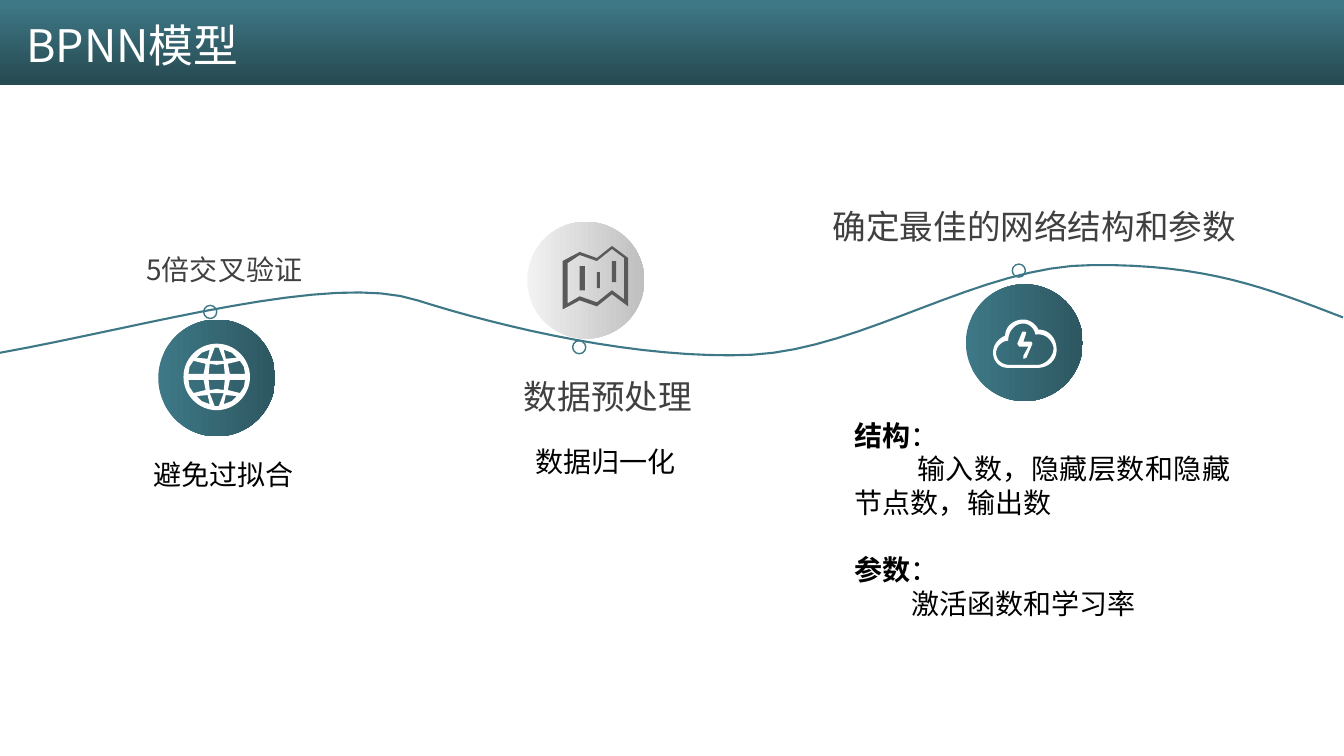
"""Build the BPNN model slide: three steps along a wave."""
from pptx import Presentation, util as u
from pptx.dml.color import RGBColor
from pptx.enum import shapes, text
from pptx.oxml.ns import qn
from lxml import etree

SIZE = 13.33, 7.5
BAND = 0.84
DISC, DOT = 1.16, 0.13


class Theme:
    teal, dark, deep = "3E7886", "2D5761", "274B53"
    pale, gray = "F2F2F2", "BFBFBF"
    white, ink, head, icon = "FFFFFF", "000000", "404040", "595959"
    sans, body = "Noto Sans CJK SC", "Calibri"
    big, mid, small = 32, 24, 20


TITLE = "BPNN模型"
LEFT, MID, JUST = text.PP_ALIGN.LEFT, text.PP_ALIGN.CENTER, text.PP_ALIGN.JUSTIFY
HEADS = [
    ("5倍交叉验证", (1.27, 2.46, 1.91, 0.44), Theme.small, MID),
    ("数据预处理", (4.07, 3.68, 3.92, 0.5), Theme.mid, MID),
    ("确定最佳的网络结构和参数", (8.16, 1.99, 4.36, 0.5), Theme.mid, LEFT),
]
NOTES = [
    ("避免过拟合", (1.42, 4.49, 2.4, 0.44)),
    ("数据归一化", (5.21, 4.36, 3.92, 0.44)),
]
DETAIL = (8.38, 4.1, 3.92, 2.42)
PARTS = [
    ("结构", "输入数，隐藏层数和隐藏节点数，输出数", 0.62, JUST),
    ("参数", "激活函数和学习率", 0.56, LEFT),
]
DOTS = [(2.02, 3.03), (5.68, 3.38), (10.04, 2.62)]
WAVE = [(0, 3.5), (1.45, 3.24), (3.29, 2.7), (4.14, 2.98), (4.99, 3.25),
        (6.34, 3.57), (7.46, 3.52), (8.58, 3.46), (9.72, 2.63),
        (10.84, 2.63), (11.97, 2.62), (12.57, 2.86), (13.32, 3.15)]

HUB = 2.15, 3.74
RIM = [(0, -.33), (.18, -.33), (.33, -.18), (.33, 0), (.33, .18), (.18, .33),
       (0, .33), (-.18, .33), (-.33, .18), (-.33, 0), (-.33, -.18),
       (-.18, -.33), (0, -.33)]
SIDES = [
    [(.23, -.16), (.27, -.1), (.28, -.03), (.13, -.03), (.11, -.13)],
    [(.2, -.19), (.15, -.24), (.07, -.27), (.09, -.18)],
]
CORES = [
    [(-.08, -.03), (.08, -.03), (.07, -.13), (0, -.12), (-.07, -.13)],
    [(-.02, -.29), (.02, -.29), (.07, -.16), (0, -.16), (-.07, -.16)],
]
CLOUD = [
    [(10.3, 3.27), (10.27, 3.21), (10.21, 3.17), (10.15, 3.17), (10.05, 3.17),
     (9.97, 3.24), (9.97, 3.33), (9.9, 3.36), (9.85, 3.42), (9.85, 3.5),
     (9.85, 3.58), (9.91, 3.65), (10, 3.65), (10.1, 3.65), (10.19, 3.65),
     (10.29, 3.65), (10.39, 3.65), (10.48, 3.58), (10.48, 3.47),
     (10.48, 3.36), (10.41, 3.27), (10.3, 3.27)],
    [(10.29, 3.62), (10.19, 3.62), (10.1, 3.62), (10, 3.62), (10, 3.62),
     (9.88, 3.61), (9.88, 3.5), (9.88, 3.44), (9.94, 3.38), (10, 3.38),
     (10, 3.29), (10.06, 3.21), (10.15, 3.21), (10.21, 3.21), (10.26, 3.26),
     (10.27, 3.32), (10.38, 3.3), (10.44, 3.39), (10.45, 3.45),
     (10.45, 3.55), (10.36, 3.62), (10.29, 3.62)],
]
BOLT = [(10.23, 3.39), (10.15, 3.39), (10.18, 3.3), (10.17, 3.29),
        (10.14, 3.29), (10.09, 3.41), (10.11, 3.44), (10.2, 3.44),
        (10.15, 3.53), (10.15, 3.56), (10.18, 3.55), (10.24, 3.41)]
MAP = [
    [(6.07, 2.44), (5.92, 2.56), (5.75, 2.5), (5.58, 2.59), (5.58, 3.07),
     (5.75, 2.98), (5.92, 3.04), (6.07, 2.92), (6.23, 3.04), (6.23, 2.56)],
    [(6.19, 2.97), (6.07, 2.88), (5.92, 3), (5.75, 2.94), (5.63, 3.01),
     (5.63, 2.61), (5.75, 2.53), (5.92, 2.59), (6.07, 2.47), (6.19, 2.56)],
]
BARS = [(5.75, 2.64, 5.8, 2.88), (5.92, 2.7, 5.95, 2.86), (6.07, 2.59, 6.11, 2.8)]


def curve(pts, n=16):
    out = [pts[0]]
    for i in range(0, len(pts) - 1, 3):
        quad = pts[i:i + 4]
        for k in range(1, n + 1):
            t = k / n
            mix = (1 - t) ** 3, 3 * t * (1 - t) ** 2, 3 * t * t * (1 - t), t ** 3
            out.append(tuple(sum(m * p[a] for m, p in zip(mix, quad)) for a in (0, 1)))
    return out


def globe():
    holes = [[(x * sx, y * sy) for x, y in h]
             for h in SIDES for sx in (1, -1) for sy in (1, -1)]
    holes += [[(x, y * sy) for x, y in h] for h in CORES for sy in (1, -1)]
    return [[(HUB[0] + x, HUB[1] + y) for x, y in c] for c in [curve(RIM)] + holes]


def paint(shape, fill=None, line=None, width=1):
    shape.shadow.inherit = False
    if fill:
        shape.fill.solid()
        shape.fill.fore_color.rgb = RGBColor.from_string(fill)
    else:
        shape.fill.background()
    if line:
        shape.line.color.rgb = RGBColor.from_string(line)
        shape.line.width = u.Pt(width)
    else:
        shape.line.fill.background()


def blend(shape, stops, angle):
    paint(shape)
    shape.fill.gradient()
    shape.fill.gradient_angle = angle
    for stop, (pos, tint) in zip(shape.fill.gradient_stops, stops):
        stop.position = pos
        stop.color.rgb = RGBColor.from_string(tint)


def outline(slide, loops, close=True):
    loops = [[(u.Inches(x), u.Inches(y)) for x, y in c] for c in loops]
    pen = slide.shapes.build_freeform(*loops[0][0], scale=1.0)
    for i, loop in enumerate(loops):
        if i:
            pen.move_to(*loop[0])
        pen.add_line_segments(loop[1:], close=close)
    return pen.convert_to_shape()


def style(para, size, face, tint, align=LEFT):
    para.alignment = align
    for run in para.runs:
        run.font.size, run.font.name = u.Pt(size), face
        run.font.color.rgb = RGBColor.from_string(tint)
        east = etree.SubElement(run.font._element, qn("a:ea"))
        east.set("typeface", face)


def box(slide, place):
    frame = slide.shapes.add_textbox(*map(u.Inches, place)).text_frame
    frame.word_wrap = True
    frame.auto_size = text.MSO_AUTO_SIZE.SHAPE_TO_FIT_TEXT
    return frame


def label(slide, words, place, size, face, tint, align=LEFT):
    frame = box(slide, place)
    frame.text = words
    style(frame.paragraphs[0], size, face, tint, align)


def header(slide):
    title = slide.shapes.title
    band = slide.shapes.add_shape(
        shapes.MSO_SHAPE.RECTANGLE, 0, 0, u.Inches(SIZE[0]), u.Inches(BAND))
    blend(band, [(0.04, Theme.teal), (0.96, Theme.deep)], 270)
    title._element.addprevious(band._element)
    title.left, title.top, title.width, title.height = map(u.Inches, (0.16, 0.04, 6.06, 0.69))
    frame = title.text_frame
    frame.text = TITLE
    frame.vertical_anchor = text.MSO_ANCHOR.MIDDLE
    frame.auto_size = text.MSO_AUTO_SIZE.SHAPE_TO_FIT_TEXT
    frame.paragraphs[0].line_spacing = 1.2
    style(frame.paragraphs[0], Theme.big, Theme.sans, Theme.white)


def detail(slide):
    frame = box(slide, DETAIL)
    for i, (name, words, indent, align) in enumerate(PARTS):
        top = frame.add_paragraph() if i else frame.paragraphs[0]
        top.space_before = u.Pt(24 * i)
        for bold, part in ((True, name), (False, "：")):
            run = top.add_run()
            run.text, run.font.bold = part, bold
        style(top, Theme.small, Theme.body, Theme.ink)
        para = frame.add_paragraph()
        para.text = words
        style(para, Theme.small, Theme.body, Theme.ink, align)
        para._p.get_or_add_pPr().set("indent", str(u.Inches(indent)))


def main():
    deck = Presentation()
    deck.slide_width, deck.slide_height = map(u.Inches, SIZE)
    slide = deck.slides.add_slide(deck.slide_layouts[5])
    header(slide)
    oval = shapes.MSO_SHAPE.OVAL
    for spot in DOTS:
        dot = slide.shapes.add_shape(oval, *map(u.Inches, (*spot, DOT, DOT)))
        paint(dot, Theme.white, Theme.teal)
    paint(outline(slide, [curve(WAVE)], close=False), line=Theme.teal, width=1.5)
    cool, soft = (Theme.teal, Theme.dark), (Theme.pale, Theme.gray)
    cloud = [curve(c) for c in CLOUD] + [BOLT]
    chart = MAP + [[(a, b), (c, b), (c, d), (a, d)] for a, b, c, d in BARS]
    steps = [
        ((1.57, 3.17), cool, globe(), Theme.white),
        ((9.58, 2.82), cool, cloud, Theme.white),
        ((5.23, 2.2), soft, chart, Theme.icon),
    ]
    for spot, pair, loops, tint in steps:
        disc = slide.shapes.add_shape(oval, *map(u.Inches, (*spot, DISC, DISC)))
        blend(disc, list(zip((0, 1), pair)), 0)
        paint(outline(slide, loops), tint)
    for words, place, size, align in HEADS:
        label(slide, words, place, size, Theme.sans, Theme.head, align)
    for words, place in NOTES:
        label(slide, words, place, Theme.small, Theme.body, Theme.ink)
    detail(slide)
    deck.save("out.pptx")


if __name__ == "__main__":
    main()
